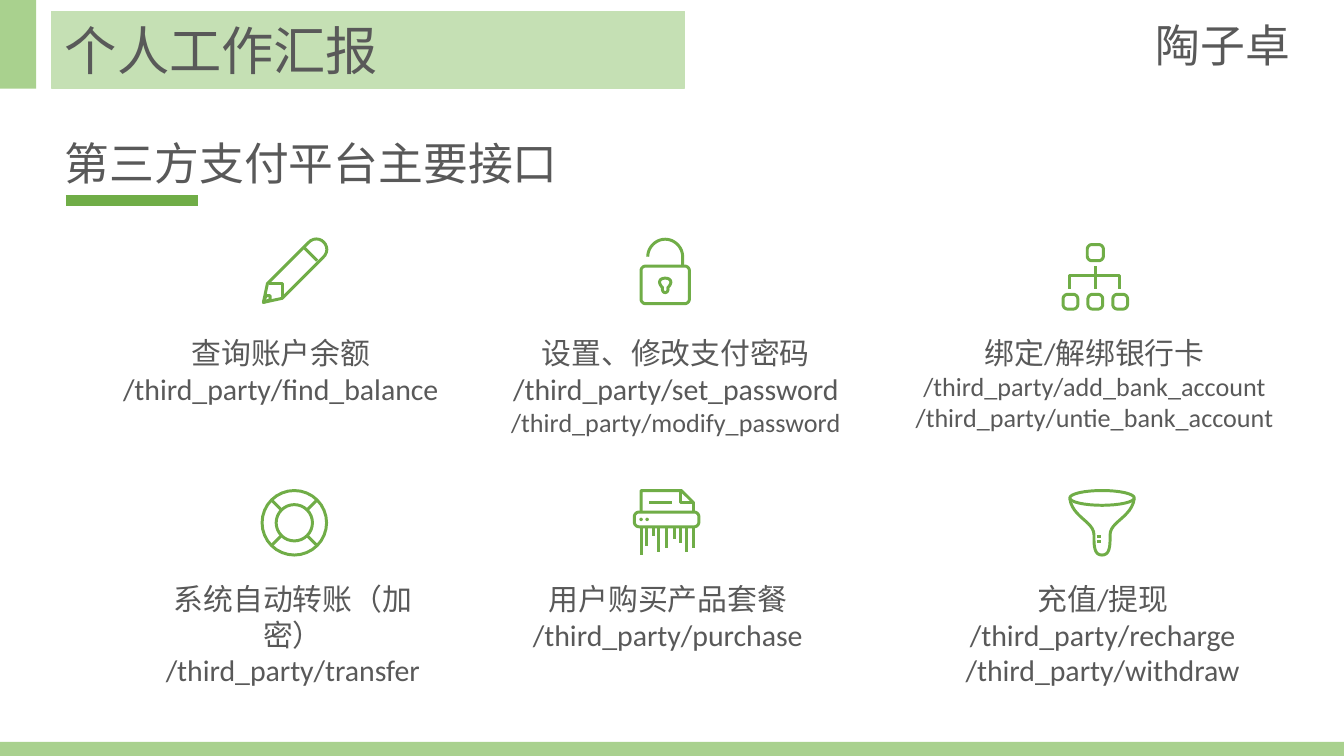
from dataclasses import dataclass
from math import cos, pi, sin

from lxml.etree import SubElement
from pptx import Presentation
from pptx.dml.color import RGBColor
from pptx.enum.shapes import MSO_CONNECTOR, MSO_SHAPE
from pptx.enum.text import MSO_ANCHOR, MSO_AUTO_SIZE, PP_ALIGN
from pptx.oxml.ns import qn
from pptx.util import Inches, Pt

WIDTH = Inches(10)
HEIGHT = WIDTH * 9 // 16
CELL = WIDTH // 100
ICON_CELL = CELL // 10
ICON_ROWS = (17.7, 36.4)
TEXT_ROWS = (24.4, 42.7)


@dataclass(frozen=True)
class Theme:
    band: RGBColor = RGBColor(0xA9, 0xD1, 0x8E)
    header: RGBColor = RGBColor(0xC5, 0xE0, 0xB4)
    accent: RGBColor = RGBColor(0x70, 0xAD, 0x47)
    ink: RGBColor = RGBColor(0x59, 0x59, 0x59)
    header_size: int = 28
    heading_size: int = 24
    body_size: int = 16
    small_size: int = 14
    icon_line: float = 1.6
    rule_line: float = 6


THEME = Theme()


@dataclass(frozen=True)
class Line:
    text: str
    size: int = THEME.body_size


@dataclass(frozen=True)
class Interface:
    row: int
    text_col: float
    text_cols: float
    text_rows: float
    lines: tuple
    icon_col: float
    icon: tuple
    icon_drop: float = 0


def rounded(x: float, y: float, width: float, height: float, rx: float, ry: float) -> tuple:
    corners = ((x + width - rx, y + height - ry), (x + rx, y + height - ry),
               (x + rx, y + ry), (x + width - rx, y + ry))
    points = []
    for quarter, (center_x, center_y) in enumerate(corners):
        for step in range(9):
            angle = (quarter + step / 8) * pi / 2
            points.append((center_x + rx * cos(angle), center_y + ry * sin(angle)))
    return (*points, points[0])


def box(x: float, y: float, width: float, height: float) -> tuple:
    return rounded(x, y, width, height, 3.5, 3.5)


def circle(x: float, y: float, radius: float) -> tuple:
    return rounded(x - radius, y - radius, 2 * radius, 2 * radius, radius, radius)


def curve(*points: tuple, steps: int = 12) -> tuple:
    smooth = [points[0]]
    for i in range(0, len(points) - 1, 3):
        for step in range(1, steps + 1):
            t = step / steps
            weights = ((1 - t) ** 3, 3 * t * (1 - t) ** 2, 3 * t * t * (1 - t), t ** 3)
            smooth.append(tuple(sum(w * p[axis] for w, p in zip(weights, points[i:i + 4]))
                                for axis in (0, 1)))
    return tuple(smooth)


PENCIL = (
    ((2, 48), (5, 34), *curve((35, 4), (43, -5), (55, 7), (46, 15)), (16, 45), (2, 48)),
    ((32, 7), (42, 17)),
    ((6, 34), (16, 34), (16, 45)),
    ((2, 48), (4, 43), (7, 43), (7, 46), (2, 48)),
)
LOCK = (
    box(1, 21, 36, 28),
    (*curve((6, 14), (6, 7), (12, 1), (19, 1), (26, 1), (32, 7), (32, 14)), (32, 21)),
    curve((17, 37), (13, 33), (15, 30), (19, 30), (23, 30), (25, 33), (21, 37),
          (22, 42), (16, 42), (17, 37)),
)
TREE = (
    box(19, 1, 12, 12),
    *(box(x, 38, 11, 11) for x in (1, 19.5, 38)),
    ((25, 17), (25, 34)),
    ((6, 34), (6, 24), (43, 24), (43, 34)),
)
LIFEBUOY = (
    circle(25, 25, 24), circle(25, 25, 13.5),
    *(((25 + 17 * x, 25 + 17 * y), (25 + 9.5 * x, 25 + 9.5 * y))
      for x in (-1, 1) for y in (-1, 1)),
)
STRIPS = ((6, 49), (10, 42), (15, 35), (19, 47), (25, 44), (31, 37), (35, 40), (40, 47), (45, 44))
SHREDDER = (
    box(1, 17, 48, 11),
    ((6, 17), (6, 1), (36, 1), (45, 10), (45, 17)),
    ((35, 1), (35, 10), (45, 10)),
    ((12, 10), (29, 10)),
    circle(6, 22.5, 0.2), circle(10.5, 22.5, 0.2),
    *(((x, 28), (x, end)) for x, end in STRIPS),
)
FUNNEL = (
    rounded(1, 1, 48, 11, 24, 5.5),
    curve((1, 7), (3, 21), (19, 24), (19, 34), (19, 42), (19, 49), (25, 49),
          (31, 49), (31, 42), (31, 34), (31, 24), (47, 21), (49, 7)),
    ((21, 35), (24, 35)),
    ((21, 39), (24, 39)),
)


def api(name: str, size: int = THEME.body_size) -> Line:
    return Line(f"/third_party/{name}", size)


INTERFACES = (
    Interface(0, 8, 25.8, 6.4, (Line("查询账户余额"), api("find_balance")), 19.4, PENCIL),
    Interface(0, 36.1, 28.4, 8.8,
              (Line("设置、修改支付密码"), api("set_password"),
               api("modify_password", THEME.small_size)), 47.6, LOCK),
    Interface(0, 66.8, 29.3, 8.4,
              (Line("绑定/解绑银行卡"), api("add_bank_account", THEME.small_size),
               api("untie_bank_account", THEME.small_size)), 79, TREE, 0.4),
    Interface(1, 9.8, 24, 6.4, (Line("系统自动转账（加密）"), api("transfer")), 19.4, LIFEBUOY),
    Interface(1, 37.7, 24, 6.4, (Line("用户购买产品套餐"), api("purchase")), 47.1, SHREDDER),
    Interface(1, 70, 24.1, 9.1,
              (Line("充值/提现"), api("recharge"), api("withdraw")), 79.5, FUNNEL),
)


def grid(*values: float) -> list:
    return [round(value * CELL) for value in values]


def draw_icon(slide, icon: tuple, col: float, row: float) -> None:
    left, top = grid(col, row)
    builder = None
    for contour in icon:
        places = [(left + round(x * ICON_CELL), top + round(y * ICON_CELL)) for x, y in contour]
        if builder is None:
            builder = slide.shapes.build_freeform(*places[0])
        else:
            builder.move_to(*places[0])
        builder.add_line_segments(places[1:], close=places[0] == places[-1])
    outline = builder.convert_to_shape()
    outline.shadow.inherit = False
    outline.fill.background()
    outline.line.color.rgb = THEME.accent
    outline.line.width = Pt(THEME.icon_line)


def draw_rule(slide, start: list, end: list) -> None:
    rule = slide.shapes.add_connector(MSO_CONNECTOR.STRAIGHT, *start, *end)
    rule.line.color.rgb = THEME.accent
    rule.line.width = Pt(THEME.rule_line)
    SubElement(rule._element.spPr, qn("a:effectLst"))


def draw_block(slide, area: list, color: RGBColor):
    block = slide.shapes.add_shape(MSO_SHAPE.RECTANGLE, *area)
    block.shadow.inherit = False
    block.fill.solid()
    block.fill.fore_color.rgb = color
    block.line.fill.background()
    return block


def write(holder, lines: tuple, font: str, align: PP_ALIGN = PP_ALIGN.LEFT) -> None:
    frame = holder.text_frame
    frame.word_wrap = True
    frame.auto_size = MSO_AUTO_SIZE.SHAPE_TO_FIT_TEXT
    frame.text = "\n".join(line.text for line in lines)
    for paragraph, line in zip(frame.paragraphs, lines):
        paragraph.alignment = align
        for run in paragraph.runs:
            run.font.name = font
            run.font.size = Pt(line.size)
            run.font.color.rgb = THEME.ink


def main() -> None:
    deck = Presentation()
    deck.slide_width, deck.slide_height = WIDTH, HEIGHT
    slide = deck.slides.add_slide(deck.slide_layouts[6])

    draw_block(slide, grid(0, 0, 2.7, 6.6), THEME.band)
    draw_block(slide, grid(0, 55.2, 100, 1.05), THEME.band)

    for item in INTERFACES:
        draw_icon(slide, item.icon, item.icon_col, ICON_ROWS[item.row] + item.icon_drop)
        area = grid(item.text_col, TEXT_ROWS[item.row], item.text_cols, item.text_rows)
        write(slide.shapes.add_textbox(*area), item.lines, "Calibri", PP_ALIGN.CENTER)

    header = draw_block(slide, grid(3.85, 0.85, 47.1, 5.7), THEME.header)
    header.line.color.rgb = THEME.header
    header.line.width = Pt(0.75)
    header.text_frame.vertical_anchor = MSO_ANCHOR.TOP
    write(header, (Line("个人工作汇报", THEME.header_size),), "Noto Sans CJK SC")

    for text, area in (("第三方支付平台主要接口", (3.85, 9.6, 77.3, 5)),
                       ("陶子卓", (85, 0.8, 12.1, 5))):
        write(slide.shapes.add_textbox(*grid(*area)), (Line(text, THEME.heading_size),), "Arial")
    draw_rule(slide, grid(4.9, 14.9), grid(14.7, 14.9))

    deck.save("out.pptx")


if __name__ == "__main__":
    main()
